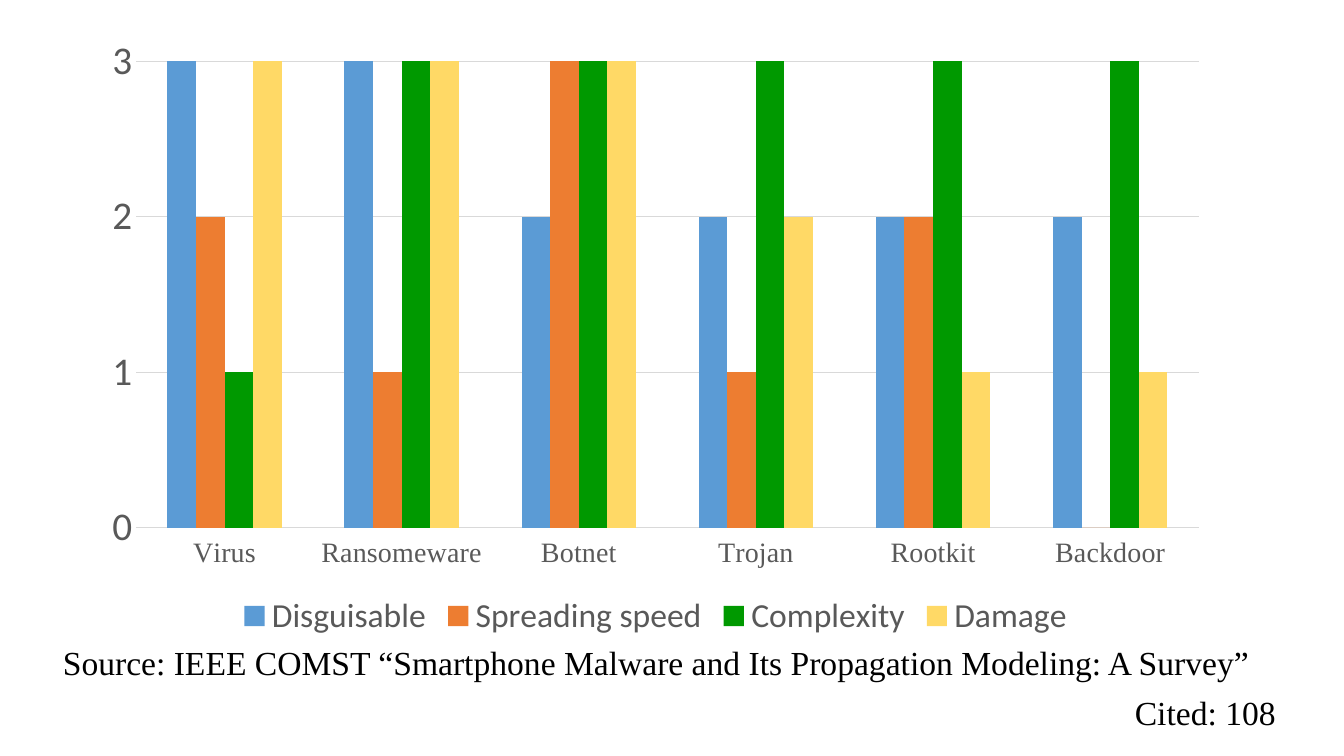
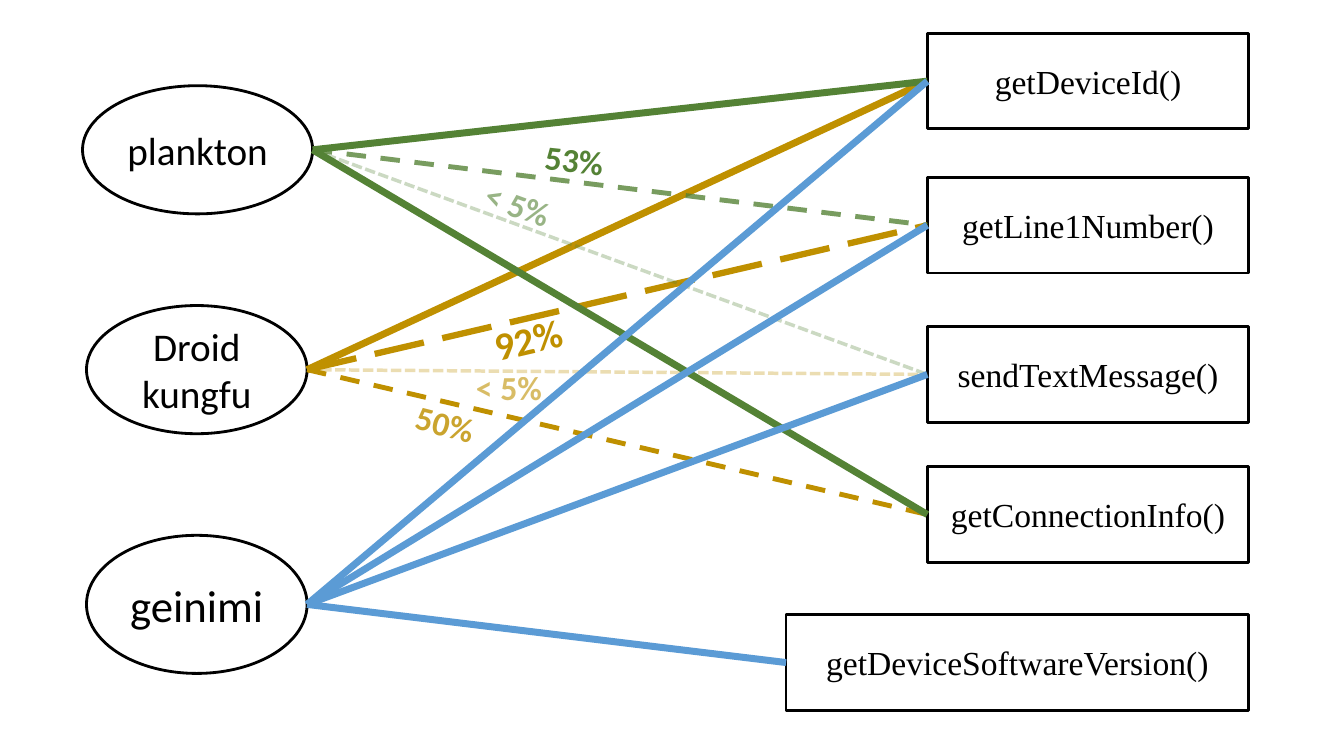
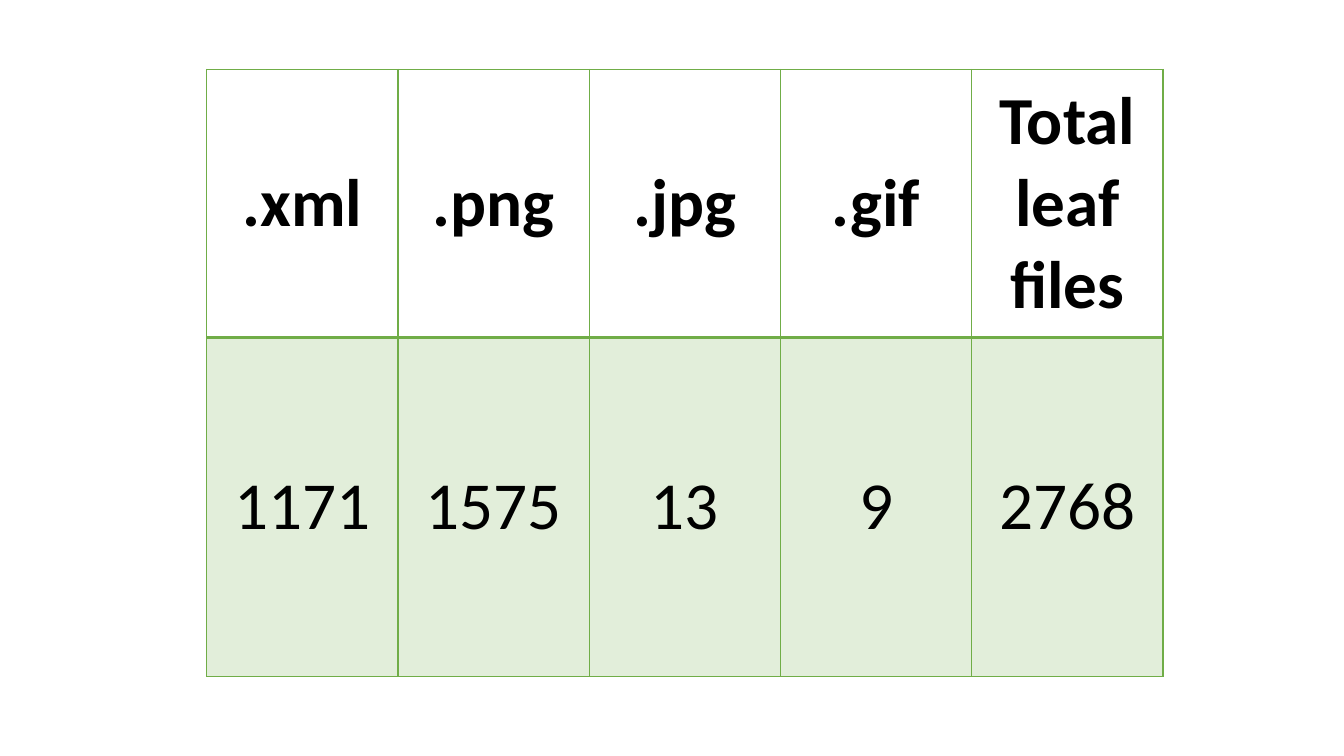
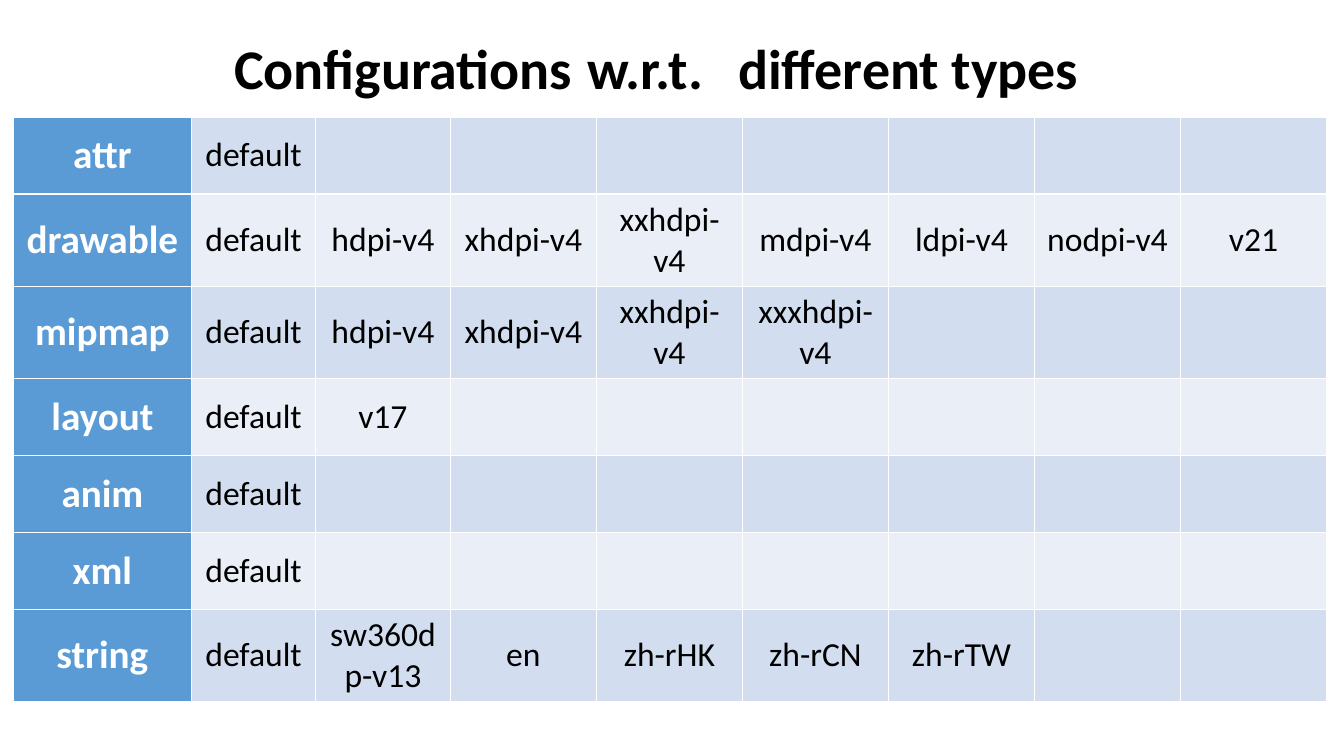
from dataclasses import dataclass

from lxml import etree
from pptx import Presentation
from pptx.chart.data import CategoryChartData
from pptx.dml.color import RGBColor
from pptx.enum.chart import XL_CHART_TYPE, XL_LEGEND_POSITION, XL_TICK_LABEL_POSITION, XL_TICK_MARK
from pptx.enum.dml import MSO_LINE
from pptx.enum.shapes import MSO_CONNECTOR, MSO_SHAPE
from pptx.enum.text import MSO_ANCHOR, MSO_AUTO_SIZE, PP_ALIGN
from pptx.oxml import parse_xml
from pptx.oxml.ns import nsdecls, qn
from pptx.util import Cm, Pt

COLUMNS = XL_CHART_TYPE.COLUMN_CLUSTERED
BOTTOM = XL_LEGEND_POSITION.BOTTOM
LOW = XL_TICK_LABEL_POSITION.LOW
NO_TICK = XL_TICK_MARK.NONE
STRAIGHT = MSO_CONNECTOR.STRAIGHT
RECT, OVAL = MSO_SHAPE.RECTANGLE, MSO_SHAPE.OVAL
LONG_DASH, DASH, SHORT_DASH = MSO_LINE.LONG_DASH, MSO_LINE.DASH, MSO_LINE.SQUARE_DOT
LEFT, CENTER, RIGHT = PP_ALIGN.LEFT, PP_ALIGN.CENTER, PP_ALIGN.RIGHT
MIDDLE = MSO_ANCHOR.MIDDLE
NO_FIT = MSO_AUTO_SIZE.NONE
TITLE_ONLY, BLANK = 5, 6


@dataclass(frozen=True)
class Theme:
    sans: str = "Calibri"
    serif: str = "Times New Roman"
    black: str = "000000"
    white: str = "FFFFFF"
    grey: str = "595959"
    rule: str = "D9D9D9"
    blue: str = "5B9BD5"
    orange: str = "ED7D31"
    green: str = "009900"
    yellow: str = "FFD966"
    gold: str = "BF9000"
    olive: str = "548235"
    leaf: str = "70AD47"
    band_dark: str = "D2DEEF"
    band_light: str = "EAEFF7"
    small: int = 20
    body: int = 24
    large: int = 28
    huge: int = 32
    title: int = 40
    figure: int = 48


T = Theme()


def write(tf, text, size, font=T.sans, color=T.black, bold=False, align=CENTER):
    tf.text = text
    for p in tf.paragraphs:
        p.alignment = align
        p.font.name = font
        p.font.size = Pt(size)
        p.font.bold = bold
        p.font.color.rgb = RGBColor.from_string(color)


def fade(element, opacity):
    for clr in element.iter(qn("a:srgbClr")):
        etree.SubElement(clr, qn("a:alpha")).set("val", str(opacity * 1000))


prs = Presentation()
prs.slide_width, prs.slide_height = Cm(33.87), Cm(19.05)
bordered = []

s = prs.slides.add_slide(prs.slide_layouts[BLANK])
data = CategoryChartData()
data.categories = ["Virus", "Ransomeware", "Botnet", "Trojan", "Rootkit", "Backdoor"]
series = [
    ("Disguisable", (3, 3, 2, 2, 2, 2), T.blue),
    ("Spreading speed", (2, 1, 3, 1, 2, 0), T.orange),
    ("Complexity", (1, 3, 3, 3, 3, 3), T.green),
    ("Damage", (3, 3, 3, 2, 1, 1), T.yellow),
]
for name, values, color in series:
    data.add_series(name, values)
chart = s.shapes.add_chart(COLUMNS, Cm(2.26), Cm(0.64), Cm(28.52), Cm(15.57), data).chart
chart.has_title = False
chart.has_legend = True
chart.legend.position = BOTTOM
chart.legend.include_in_layout = False
plot = chart.plots[0]
plot.gap_width = 219
plot.vary_by_categories = False
for ser, (name, values, color) in zip(plot.series, series):
    ser.format.fill.solid()
    ser.format.fill.fore_color.rgb = RGBColor.from_string(color)
cat, val = chart.category_axis, chart.value_axis
cat.tick_label_position = LOW
val.minimum_scale, val.maximum_scale, val.major_unit = 0, 3, 1
val.has_major_gridlines = True
val.format.line.fill.background()
for axis in (cat, val):
    axis.major_tick_mark = axis.minor_tick_mark = NO_TICK
for line in (cat.format.line, val.major_gridlines.format.line):
    line.width = Pt(0.75)
    line.color.rgb = RGBColor.from_string(T.rule)
for font, name, size in [
    (cat.tick_labels.font, T.serif, T.small),
    (val.tick_labels.font, T.sans, T.large),
    (chart.legend.font, T.sans, T.body),
]:
    font.name, font.size = name, Pt(size)
    font.color.rgb = RGBColor.from_string(T.grey)
for text, left, top, width in [
    ("Source: IEEE COMST “Smartphone Malware and Its Propagation Modeling: A Survey”", 0.41, 16.05, 31.32),
    ("Cited: 108", 5.2, 17.32, 27.2),
]:
    tf = s.shapes.add_textbox(Cm(left), Cm(top), Cm(width), Cm(1.27)).text_frame
    tf.word_wrap = True
    write(tf, text, T.body, T.serif, align=RIGHT)

s = prs.slides.add_slide(prs.slide_layouts[BLANK])
api_left, api_right, api_height = 23.37, 31.47, 2.41
nodes = {}
for shape, text, left, top, width, height, size, font in [
    (RECT, "getDeviceSoftwareVersion()", 19.81, 15.49, api_right - 19.81, api_height, T.body, T.serif),
    *[
        (RECT, text, api_left, top, api_right - api_left, api_height, T.body, T.serif)
        for text, top in [
            ("getDeviceId()", 0.84),
            ("getLine1Number()", 4.47),
            ("getConnectionInfo()", 11.76),
            ("sendTextMessage()", 8.23),
        ]
    ],
    (OVAL, "Droid\nkungfu", 2.18, 7.7, 5.56, 3.23, T.large, T.sans),
    (OVAL, "geinimi", 2.18, 13.49, 5.56, 3.48, T.huge, T.sans),
    (OVAL, "plankton", 2.08, 2.16, 5.8, 3.23, T.large, T.sans),
]:
    sp = s.shapes.add_shape(shape, Cm(left), Cm(top), Cm(width), Cm(height))
    sp.shadow.inherit = False
    sp.fill.background()
    sp.line.width = Pt(2)
    sp.line.color.rgb = RGBColor.from_string(T.black)
    sp.text_frame.word_wrap = False
    sp.text_frame.vertical_anchor = MIDDLE
    write(sp.text_frame, text, size, font)
    nodes[text] = sp

calls = [
    ("Droid\nkungfu", T.gold, [
        ("getDeviceId()", 5, None, 100),
        ("getLine1Number()", 4.5, LONG_DASH, 100),
        ("sendTextMessage()", 2.5, SHORT_DASH, 29),
        ("getConnectionInfo()", 3.5, DASH, 100),
    ]),
    ("plankton", T.olive, [
        ("getDeviceId()", 5, None, 100),
        ("getLine1Number()", 3.5, DASH, 78),
        ("sendTextMessage()", 2.5, SHORT_DASH, 30),
        ("getConnectionInfo()", 5, None, 100),
    ]),
    ("geinimi", T.blue, [
        ("getDeviceSoftwareVersion()", 5, None, 100),
        ("sendTextMessage()", 5, None, 100),
        ("getLine1Number()", 5, None, 100),
        ("getDeviceId()", 5, None, 100),
    ]),
]
for family, color, targets in calls:
    start = nodes[family]
    for api, width, dash, opacity in targets:
        end = nodes[api]
        con = s.shapes.add_connector(
            STRAIGHT,
            start.left + start.width, start.top + start.height // 2,
            end.left, end.top + end.height // 2,
        )
        con.end_connect(end, 1)
        con.line.width = Pt(width)
        con.line.color.rgb = RGBColor.from_string(color)
        if dash:
            con.line.dash_style = dash
        if opacity < 100:
            fade(con._element, opacity)
        etree.SubElement(con._element.spPr, qn("a:effectLst"))

for text, left, top, height, angle, size, color, opacity in [
    ("50%", 9.88, 10.03, 1.27, 14.6, T.body, T.gold, 82),
    ("92%", 11.96, 7.82, 1.45, 347, T.large, T.gold, 100),
    ("53%", 13.13, 3.38, 1.27, 6, T.body, T.olive, 100),
    ("< 5%", 11.71, 4.52, 1.27, 20.1, T.body, T.olive, 60),
    ("< 5%", 11.48, 9.12, 1.27, 0, T.body, T.gold, 60),
]:
    sp = s.shapes.add_textbox(Cm(left), Cm(top), Cm(2.69), Cm(height))
    sp.rotation = angle
    sp.text_frame.word_wrap = True
    write(sp.text_frame, text, size, color=color, bold=True)
    if opacity < 100:
        fade(sp._element, opacity)

s = prs.slides.add_slide(prs.slide_layouts[BLANK])
counts = [
    (".xml", ".png", ".jpg", ".gif", "Total leaf files"),
    ("1171", "1575", "13", "9", "2768"),
]
heights = (6.76, 8.53)
tbl = s.shapes.add_table(2, 5, Cm(5.21), Cm(1.75), Cm(5 * 4.82), Cm(sum(heights))).table
tbl.horz_banding = False
for i, row in enumerate(counts):
    tbl.rows[i].height = Cm(heights[i])
    for j, text in enumerate(row):
        cell = tbl.cell(i, j)
        cell.vertical_anchor = MIDDLE
        if i == 0:
            cell.fill.background()
        else:
            cell.fill.solid()
            cell.fill.fore_color.rgb = RGBColor.from_string(T.leaf)
            fade(cell._tc.tcPr, 20)
        write(cell.text_frame, text, T.figure, bold=i == 0)
        bordered.append((cell, T.leaf, 2 if i == 0 else 1))

s = prs.slides.add_slide(prs.slide_layouts[TITLE_ONLY])
configs = [
    ("attr", "default"),
    ("drawable", "default", "hdpi-v4", "xhdpi-v4", "xxhdpi-v4", "mdpi-v4", "ldpi-v4", "nodpi-v4", "v21"),
    ("mipmap", "default", "hdpi-v4", "xhdpi-v4", "xxhdpi-v4", "xxxhdpi-v4"),
    ("layout", "default", "v17"),
    ("anim", "default"),
    ("xml", "default"),
    ("string", "default", "sw360dp-v13", "en", "zh-rHK", "zh-rCN", "zh-rTW"),
]
widths = [4.5, 3.12, 3.4] + [3.68] * 6
row_height = 1.94
tbl = s.shapes.add_table(
    len(configs), len(widths), Cm(0.33), Cm(2.95), Cm(sum(widths)), Cm(row_height * len(configs))
).table
tbl.first_row = tbl.horz_banding = False
tbl.first_col = True
for j, width in enumerate(widths):
    tbl.columns[j].width = Cm(width)
for i, row in enumerate(configs):
    tbl.rows[i].height = Cm(row_height)
    band = T.band_light if i % 2 else T.band_dark
    for j in range(len(widths)):
        cell = tbl.cell(i, j)
        cell.vertical_anchor = MIDDLE
        cell.fill.solid()
        cell.fill.fore_color.rgb = RGBColor.from_string(band if j else T.blue)
        if j == 0:
            write(cell.text_frame, row[j], T.large, color=T.white, bold=True)
        elif j < len(row):
            write(cell.text_frame, row[j], T.body)
        bordered.append((cell, T.white, 1))

title = s.shapes.title
title.left, title.top, title.width, title.height = Cm(5.65), Cm(0.71), Cm(23.6), Cm(1.96)
tf = title.text_frame
tf.auto_size = NO_FIT
tf.vertical_anchor = MIDDLE
tabs = etree.SubElement(tf.paragraphs[0]._p.get_or_add_pPr(), qn("a:tabLst"))
for stop in (9.5, 13.05):
    etree.SubElement(tabs, qn("a:tab"), pos=str(Cm(stop)), algn="l")
write(tf, "Configurations\tw.r.t.\tdifferent types", T.title, bold=True, align=LEFT)

for cell, color, bottom in bordered:
    tcPr = cell._tc.get_or_add_tcPr()
    for k, (side, width) in enumerate([("L", 1), ("R", 1), ("T", 1), ("B", bottom)]):
        tcPr.insert(k, parse_xml(
            f'<a:ln{side} {nsdecls("a")} w="{Pt(width)}"><a:solidFill>'
            f'<a:srgbClr val="{color}"/></a:solidFill></a:ln{side}>'
        ))

prs.save("out.pptx")
